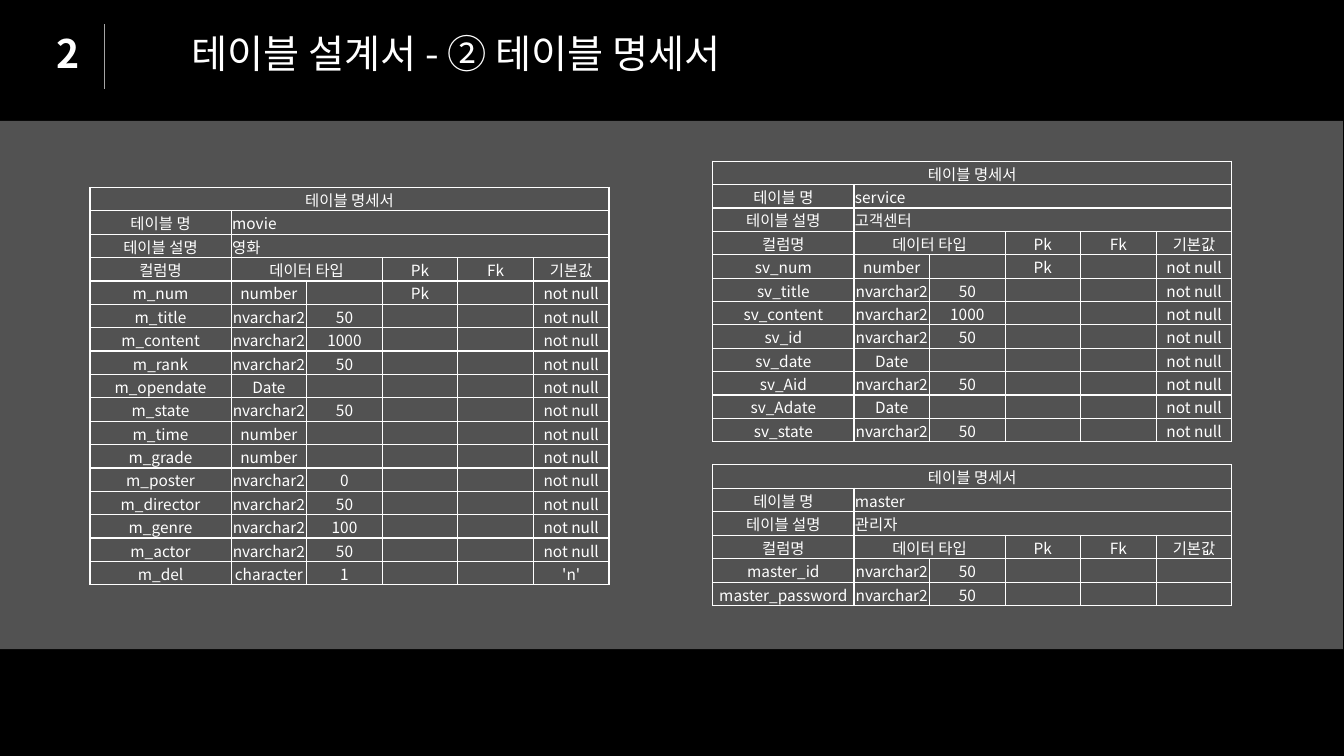
"""Build the slide that lists the table specifications."""
from dataclasses import dataclass

from lxml import etree
from pptx import Presentation
from pptx.dml.color import RGBColor
from pptx.enum.shapes import MSO_CONNECTOR, MSO_SHAPE
from pptx.enum.text import MSO_ANCHOR, MSO_AUTO_SIZE, PP_ALIGN
from pptx.oxml.ns import qn
from pptx.util import Inches, Pt

LEFT, MID, RIGHT = PP_ALIGN.LEFT, PP_ALIGN.CENTER, PP_ALIGN.RIGHT
CENTRE = MSO_ANCHOR.MIDDLE
NO_FIT = MSO_AUTO_SIZE.NONE
RECT = MSO_SHAPE.RECTANGLE
LINE = MSO_CONNECTOR.STRAIGHT
WIDE, HIGH = Inches(13.33), Inches(7.5)
COLS = (1.4, 0.75, 0.75, 0.75, 0.75, 0.75)


@dataclass(frozen=True)
class Theme:
    font: str = "Noto Sans CJK KR"
    ink: str = "FFFFFF"
    back: str = "000000"
    grey: str = "A5A5A5"
    head: float = 28
    body: float = 11
    rule: float = 1
    thin: float = 0.5


@dataclass(frozen=True)
class Box:
    """Hold a frame in percent of the slide's width and height."""
    x: float
    y: float
    w: float
    h: float

    def emu(self) -> tuple[int, int, int, int]:
        return (int(self.x * WIDE / 100), int(self.y * HIGH / 100),
                int(self.w * WIDE / 100), int(self.h * HIGH / 100))


@dataclass(frozen=True)
class Field:
    name: str
    kind: str
    size: str = ""
    key: str = ""
    value: str = "not null"

    def cells(self) -> tuple[str, ...]:
        return self.name, self.kind, self.size, self.key, "", self.value


@dataclass(frozen=True)
class Spec:
    box: Box
    name: str
    note: str
    fields: tuple[Field, ...]

    def rows(self) -> list[tuple[str, ...]]:
        return [("테이블 명세서",), ("테이블 명", self.name), ("테이블 설명", self.note),
                ("컬럼명", "데이터 타입", "", "Pk", "Fk", "기본값"),
                *(field.cells() for field in self.fields)]


THEME = Theme()
TEXT = "nvarchar2"
SPECS = (
    Spec(Box(6.7, 24.8, 38.63, 52.4), "movie", "영화", (
        Field("m_num", "number", key="Pk"),
        Field("m_title", TEXT, "50"),
        Field("m_content", TEXT, "1000"),
        Field("m_rank", TEXT, "50"),
        Field("m_opendate", "Date"),
        Field("m_state", TEXT, "50"),
        Field("m_time", "number"),
        Field("m_grade", "number"),
        Field("m_poster", TEXT, "0"),
        Field("m_director", TEXT, "50"),
        Field("m_genre", TEXT, "100"),
        Field("m_actor", TEXT, "50"),
        Field("m_del", "character", "1", value="'n'"))),
    Spec(Box(53.04, 21.33, 38.63, 36.8), "service", "고객센터", (
        Field("sv_num", "number", key="Pk"),
        Field("sv_title", TEXT, "50"),
        Field("sv_content", TEXT, "1000"),
        Field("sv_id", TEXT, "50"),
        Field("sv_date", "Date"),
        Field("sv_Aid", TEXT, "50"),
        Field("sv_Adate", "Date"),
        Field("sv_state", TEXT, "50"))),
    Spec(Box(53.04, 61.47, 38.63, 18.67), "master", "관리자", (
        Field("master_id", TEXT, "50", value=""),
        Field("master_password", TEXT, "50", value=""))),
)


def tint(code: str) -> RGBColor:
    return RGBColor.from_string(code)


def write(frame, text: str, *, size: float, align=LEFT, bold: bool = False) -> None:
    """Put one formatted paragraph into a text frame."""
    para = frame.paragraphs[0]
    para.alignment = align
    if not text:
        etree.SubElement(para._p, qn("a:endParaRPr"), sz=str(int(size * 100)))
        return
    run = para.add_run()
    run.text = text
    run.font.size, run.font.bold = Pt(size), bold
    run.font.color.rgb = tint(THEME.ink)
    run.font.name = THEME.font
    etree.SubElement(run._r.get_or_add_rPr(), qn("a:ea"), typeface=THEME.font)


def label(shape, text: str, *, align=LEFT, bold: bool = False, wrap: bool = True) -> None:
    frame = shape.text_frame
    frame.auto_size, frame.word_wrap = NO_FIT, wrap
    frame.vertical_anchor = CENTRE
    frame.margin_top = frame.margin_bottom = 0
    write(frame, text, size=THEME.head, align=align, bold=bold)


def edge(cell) -> None:
    """Draw the four borders of a cell and clear its fill."""
    cell.fill.background()
    props = cell._tc.get_or_add_tcPr()
    for spot, side in enumerate(("lnL", "lnR", "lnT", "lnB")):
        line = etree.Element(qn(f"a:{side}"), w=str(Pt(THEME.rule)))
        fill = etree.SubElement(line, qn("a:solidFill"))
        etree.SubElement(fill, qn("a:srgbClr"), val=THEME.ink)
        props.insert(spot, line)


def grid(slide, spec: Spec) -> None:
    rows = spec.rows()
    x, y, wide, high = spec.box.emu()
    table = slide.shapes.add_table(len(rows), len(COLS), x, y, wide, high).table
    table.first_row = table.horz_banding = False
    for col, share in zip(table.columns, COLS):
        col.width = int(wide * share / sum(COLS))
    last = len(COLS) - 1
    for row, start, end in ((0, 0, last), (1, 1, last), (2, 1, last), (3, 1, 2)):
        table.cell(row, start).merge(table.cell(row, end))
    for r, row in enumerate(rows):
        table.rows[r].height = high // len(rows)
        for c in range(len(COLS)):
            cell = table.cell(r, c)
            edge(cell)
            cell.margin_left = cell.margin_right = cell.margin_top = Inches(0.01)
            cell.margin_bottom = 0
            cell.vertical_anchor = CENTRE
            text = row[c] if c < len(row) else ""
            align = LEFT if r in (1, 2) and c else MID
            write(cell.text_frame, text, size=THEME.body, align=align)


def panel(slide, box: Box) -> None:
    shape = slide.shapes.add_shape(RECT, *box.emu())
    shape.shadow.inherit = False
    shape.fill.solid()
    shape.fill.fore_color.rgb = tint(THEME.grey)
    shape.line.fill.background()
    color = shape.fill._xPr.find(qn("a:solidFill"))[0]
    etree.SubElement(color, qn("a:alpha"), val="50000")


def badge(slide, number: str, box: Box, rule: Box) -> None:
    """Group the section number with the rule beside it."""
    group = slide.shapes.add_group_shape()
    x, y, w, h = rule.emu()
    line = group.shapes.add_connector(LINE, x, y, x + w, y + h)
    line.line.color.rgb = tint(THEME.grey)
    line.line.width = Pt(THEME.thin)
    etree.SubElement(line._element.spPr, qn("a:effectLst"))
    label(group.shapes.add_textbox(*box.emu()), number, bold=True, wrap=False)


def main() -> None:
    deck = Presentation()
    deck.slide_width, deck.slide_height = WIDE, HIGH
    slide = deck.slides.add_slide(deck.slide_layouts[5])
    slide.background.fill.solid()
    slide.background.fill.fore_color.rgb = tint(THEME.back)
    panel(slide, Box(-0.08, 16, 100, 69.87))
    badge(slide, "2", Box(3.45, 3.2, 3.3, 7.6), Box(7.73, 3.2, 0, 8.53))
    title = slide.shapes.title
    title.left, title.top, title.width, title.height = Box(7.2, 3.2, 47.18, 7.6).emu()
    label(title, "테이블 설계서 - ② 테이블 명세서", align=RIGHT)
    for spec in SPECS:
        grid(slide, spec)
    deck.save("out.pptx")


if __name__ == "__main__":
    main()
